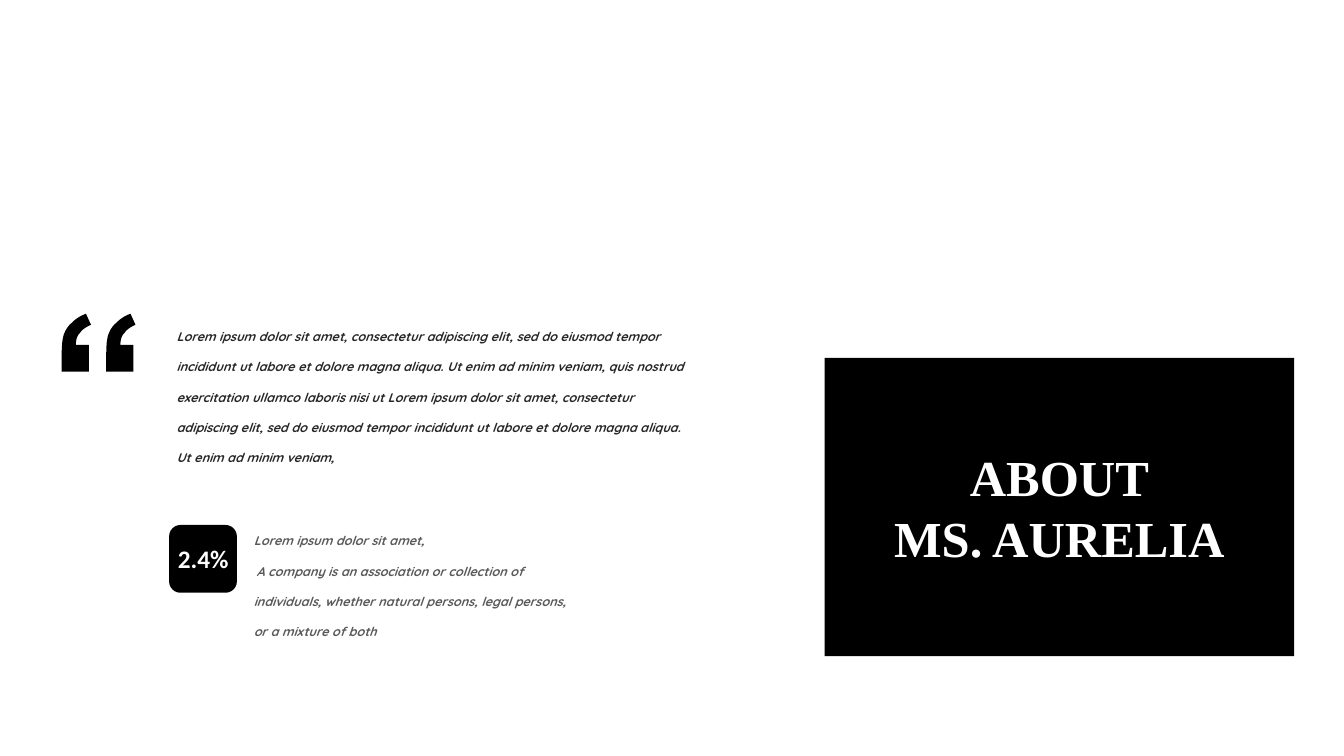
from pptx import Presentation
from pptx.dml.color import RGBColor
from pptx.enum.shapes import MSO_SHAPE as Preset
from pptx.enum.text import MSO_ANCHOR as Anchor, MSO_AUTO_SIZE as AutoSize, PP_ALIGN as Align
from pptx.util import Pt

BLACK = RGBColor(0x00, 0x00, 0x00)
WHITE = RGBColor(0xFF, 0xFF, 0xFF)
DARK_GREY = RGBColor(0x26, 0x26, 0x26)
MID_GREY = RGBColor(0x59, 0x59, 0x59)

TITLE = {"name": "Times New Roman", "size": Pt(36), "bold": True, "italic": False}
FIGURE = {"name": "Calibri", "size": Pt(18), "bold": True, "italic": False}
BODY = {"name": "Quicksand", "size": Pt(9), "bold": True, "italic": True}
SPACER = {"name": "Calibri", "size": Pt(9), "bold": False, "italic": False}

QUOTE = (
    "Lorem ipsum dolor sit amet, consectetur adipiscing elit, sed do eiusmod tempor "
    "incididunt ut labore et dolore magna aliqua. Ut enim ad minim veniam, quis nostrud "
    "exercitation ullamco laboris nisi ut Lorem ipsum dolor sit amet, consectetur "
    "adipiscing elit, sed do eiusmod tempor incididunt ut labore et dolore magna aliqua. "
    "Ut enim ad minim veniam,"
)
COMPANY = (
    "A company is an association or collection of individuals, whether natural persons, "
    "legal persons, or a mixture of both"
)

QUOTE_MARK = [
    [(17.3, 0)],
    [(20.9, 7.9)],
    [(17.3, 9.4), (14.4, 11.5), (13, 13.7)],
    [(10.8, 15.8), (10.1, 18.7), (10.1, 22.3)],
    [(19.4, 22.3)],
    [(19.4, 41.4)],
    [(0, 41.4)],
    [(0, 28.1)],
    [(0, 22.3), (0.5, 18), (1.4, 15.1)],
    [(2.7, 11.5), (4.5, 8.6), (7.2, 6.5)],
    [(9.7, 3.8), (13, 1.6), (17.3, 0)],
]
CURVE_STEPS = 8


def paint(shape, color):
    """Give a shape a plain fill with no line or shadow."""
    shape.shadow.inherit = False
    shape.fill.solid()
    shape.fill.fore_color.rgb = color
    shape.line.fill.background()


def add_box(slide, preset, bounds):
    """Add a black preset shape."""
    shape = slide.shapes.add_shape(preset, *map(Pt, bounds))
    paint(shape, BLACK)
    return shape


def write(text_frame, paragraphs, color, align=Align.LEFT, spacing=1.0):
    """Fill a text frame with paragraphs, each a list of (text, format) runs."""
    text_frame.word_wrap = True
    for index, runs in enumerate(paragraphs):
        paragraph = text_frame.add_paragraph() if index else text_frame.paragraphs[0]
        paragraph.alignment = align
        paragraph.line_spacing = spacing
        for text, format_values in runs:
            run = paragraph.add_run()
            run.text = text
            run.font.color.rgb = color
            for attribute, value in format_values.items():
                setattr(run.font, attribute, value)


def add_text(slide, bounds, paragraphs, color, insets=(7.2, 3.6), **layout):
    """Add a text box that grows with its text."""
    text_frame = slide.shapes.add_textbox(*map(Pt, bounds)).text_frame
    text_frame.auto_size = AutoSize.SHAPE_TO_FIT_TEXT
    text_frame.margin_left = text_frame.margin_right = Pt(insets[0])
    text_frame.margin_top = text_frame.margin_bottom = Pt(insets[1])
    write(text_frame, paragraphs, color, **layout)


def curve_point(start, first, second, end, t):
    """Return the point at t on a cubic curve."""
    weights = ((1 - t) ** 3, 3 * t * (1 - t) ** 2, 3 * t * t * (1 - t), t ** 3)
    return tuple(
        sum(weight * value for weight, value in zip(weights, axis))
        for axis in zip(start, first, second, end)
    )


def outline(segments):
    """Turn lines and cubic curves into a list of points."""
    points = []
    for segment in segments:
        if len(segment) == 1:
            points += segment
        else:
            start = points[-1]
            points += [
                curve_point(start, *segment, step / CURVE_STEPS)
                for step in range(1, CURVE_STEPS + 1)
            ]
    return points


def add_quote_marks(slide, left, top, pitch):
    """Draw a pair of opening quote marks as one outline."""
    builder = None
    for offset in (0, pitch):
        points = [(Pt(left + offset + x), Pt(top + y)) for x, y in outline(QUOTE_MARK)]
        if builder is None:
            builder = slide.shapes.build_freeform(*points[0])
        else:
            builder.move_to(*points[0])
        builder.add_line_segments(points[1:], close=True)
    paint(builder.convert_to_shape(), BLACK)


def main():
    """Build the slide and save it."""
    presentation = Presentation()
    presentation.slide_width, presentation.slide_height = Pt(960), Pt(540)
    slide = presentation.slides.add_slide(presentation.slide_layouts[6])

    panel = add_box(slide, Preset.RECTANGLE, (589, 255.6, 335.5, 213.1))
    panel.text_frame.vertical_anchor = Anchor.MIDDLE
    title = [[("ABOUT", TITLE)], [("MS. AURELIA", TITLE)]]
    write(panel.text_frame, title, WHITE, Align.CENTER)

    add_quote_marks(slide, 44.1, 224.1, 31.8)
    add_text(slide, (126.2, 224.1, 370.1, 108.7), [[(QUOTE, BODY)]], DARK_GREY,
             insets=(0, 0), spacing=2.0)

    add_box(slide, Preset.ROUNDED_RECTANGLE, (120.8, 375, 48.4, 48.4))
    add_text(slide, (112.3, 384.6, 65.5, 29), [[("2.4%", FIGURE)]], WHITE,
             align=Align.CENTER)

    details = [[("Lorem ipsum dolor sit amet,", BODY)], [(" ", SPACER), (COMPANY, BODY)]]
    add_text(slide, (174.2, 366.5, 241.2, 94.3), details, MID_GREY, spacing=2.0)

    presentation.save("out.pptx")


if __name__ == "__main__":
    main()
